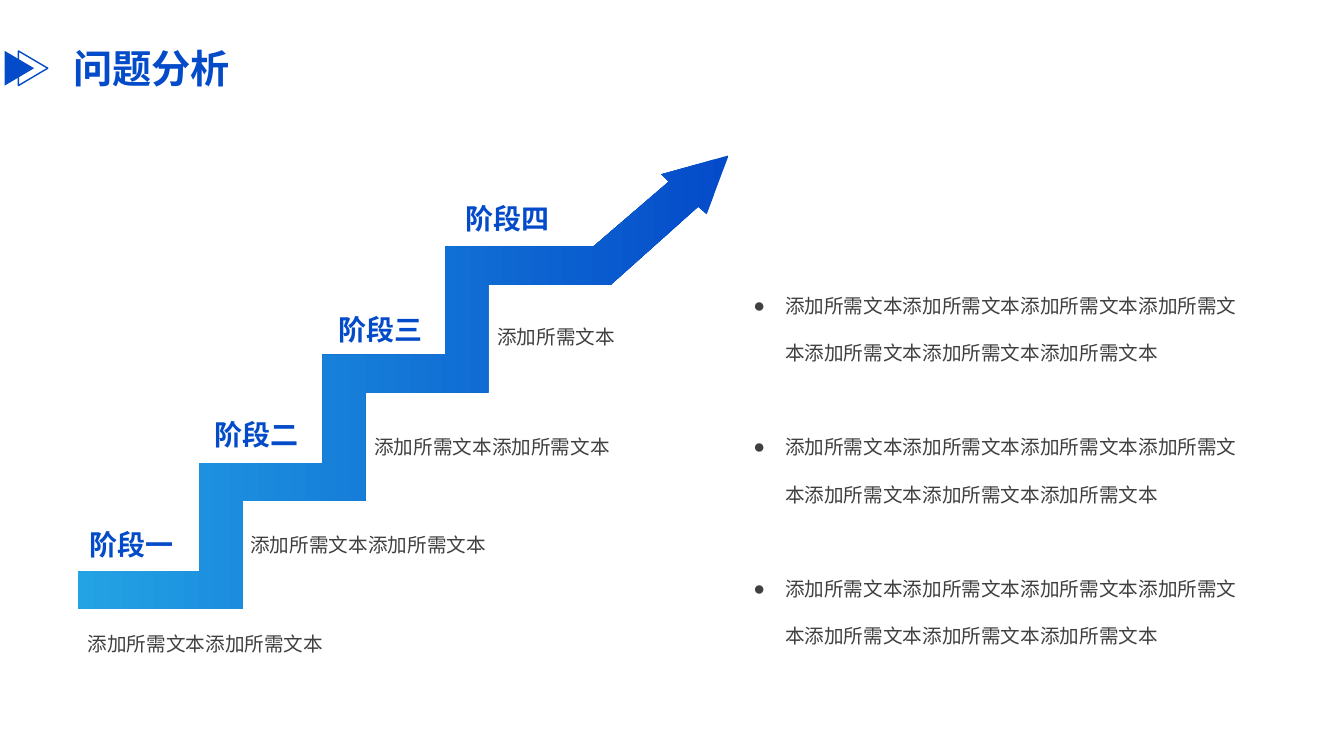
import dataclasses
import typing

import lxml.etree
import pptx
import pptx.dml.color
import pptx.enum.shapes
import pptx.enum.text
import pptx.oxml.ns
import pptx.util

PX = 9525  # EMU in one px
FONT = "Noto Sans CJK SC"
HUES = {"blue": "044BC9", "sky": "23A2E4", "grey": "404040"}
ALIGN = pptx.enum.text.PP_ALIGN


@dataclasses.dataclass
class Box:
    left: int
    top: int
    width: int
    height: int

    def emu(self) -> list[int]:
        return [n * PX for n in dataclasses.astuple(self)]


@dataclasses.dataclass
class Style:
    size: int
    hue: str
    bold: bool = False
    align: typing.Any = ALIGN.LEFT
    lines: float = 1.0
    wrap: bool = True


@dataclasses.dataclass
class Label:
    text: str
    box: Box
    style: Style


HEAD = Style(28, "blue", bold=True)
STAGE = Style(20, "blue", bold=True, align=ALIGN.CENTER, wrap=False)
NOTE = Style(14, "grey", lines=1.5)
ITEM = Style(14, "grey", lines=2.0)

WORDS = "添加所需文本"
LABELS = [
    Label("阶段一", Box(74, 498, 102, 42), STAGE),
    Label("阶段二", Box(193, 393, 102, 42), STAGE),
    Label("阶段三", Box(311, 293, 102, 42), STAGE),
    Label("阶段四", Box(432, 187, 102, 42), STAGE),
    Label(WORDS * 2, Box(74, 586, 307, 39), NOTE),
    Label(WORDS * 2, Box(229, 492, 307, 39), NOTE),
    Label(WORDS * 2, Box(347, 398, 307, 39), NOTE),
    Label(WORDS, Box(464, 294, 177, 39), NOTE),
]


def color(hue: str) -> pptx.dml.color.RGBColor:
    return pptx.dml.color.RGBColor.from_string(HUES[hue])


def add_tag(parent: typing.Any, tag: str, **attrs: str) -> None:
    lxml.etree.SubElement(parent, pptx.oxml.ns.qn(tag), **attrs)


def place(shape: typing.Any, box: Box) -> None:
    shape.left, shape.top, shape.width, shape.height = box.emu()


def write(shape: typing.Any, texts: list[str], style: Style,
          gap: float = 0, mark: str = "") -> None:
    frame = shape.text_frame
    frame.word_wrap = style.wrap
    frame.auto_size = pptx.enum.text.MSO_AUTO_SIZE.SHAPE_TO_FIT_TEXT
    frame.vertical_anchor = pptx.enum.text.MSO_ANCHOR.TOP
    for i, text in enumerate(texts):
        para = frame.add_paragraph() if i else frame.paragraphs[0]
        if mark:
            props = para._p.get_or_add_pPr()
            props.set("marL", str(30 * PX))
            props.set("indent", str(-30 * PX))
            add_tag(props, "a:buChar", char=mark)
        para.alignment = style.align
        para.line_spacing = style.lines
        para.space_before = pptx.util.Pt(gap if i else 0)
        run = para.add_run()
        run.text = text
        run.font.size = pptx.util.Pt(style.size)
        run.font.bold = style.bold
        run.font.color.rgb = color(style.hue)
        run.font.name = FONT
        add_tag(run._r.get_or_add_rPr(), "a:ea", typeface=FONT)


def add_chevron(slide: typing.Any, left: int, solid: bool) -> None:
    kind = pptx.enum.shapes.MSO_SHAPE.ISOSCELES_TRIANGLE
    shape = slide.shapes.add_shape(kind, *Box(left, 51, 33, 28).emu())
    shape.rotation = 90
    shape.shadow.inherit = False
    if solid:
        shape.fill.solid()
        shape.fill.fore_color.rgb = color("blue")
        shape.line.fill.background()
    else:
        shape.fill.background()
        shape.line.color.rgb = color("blue")
        shape.line.width = pptx.util.Pt(1)


def add_stairs(slide: typing.Any) -> None:
    left, top, rise, run = 74, 544, 103, 117
    riser, tread, wide, thick = 190, 544, 41, 36
    upper, lower = [], []
    for k in range(3):
        x, y = riser + run * k, tread - rise * k
        upper += [(x, y), (x, y - rise)]
        lower += [(x + wide, y + thick), (x + wide, y - rise + thick)]
    arrow = [(565, 235), (637, 173), (630, 166), (694, 148),
             (673, 204), (665, 197), (582, 271)]
    form = slide.shapes.build_freeform(left, top, scale=PX)
    form.add_line_segments(upper + arrow + lower[::-1] + [(left, top + thick)])
    shape = form.convert_to_shape()
    shape.shadow.inherit = False
    shape.line.fill.background()
    shape.fill.gradient()
    shape.fill.gradient_angle = 180
    for stop, hue in zip(shape.fill.gradient_stops, ("blue", "sky")):
        stop.color.rgb = color(hue)


def main() -> None:
    deck = pptx.Presentation()
    deck.slide_width, deck.slide_height = 1280 * PX, 720 * PX
    slide = deck.slides.add_slide(deck.slide_layouts[1])
    title, body = slide.placeholders

    # Heading
    add_chevron(slide, 2, solid=True)
    add_chevron(slide, 15, solid=False)
    place(title, Box(60, 37, 359, 55))
    write(title, ["问题分析"], HEAD)

    # Rising stages
    add_stairs(slide)
    for label in LABELS:
        box = slide.shapes.add_textbox(*label.box.emu())
        write(box, [label.text], label.style)

    # List on the right
    place(body, Box(708, 253, 488, 372))
    write(body, [WORDS * 7] * 3, ITEM, gap=33.6, mark="●")

    deck.save("out.pptx")


if __name__ == "__main__":
    main()
